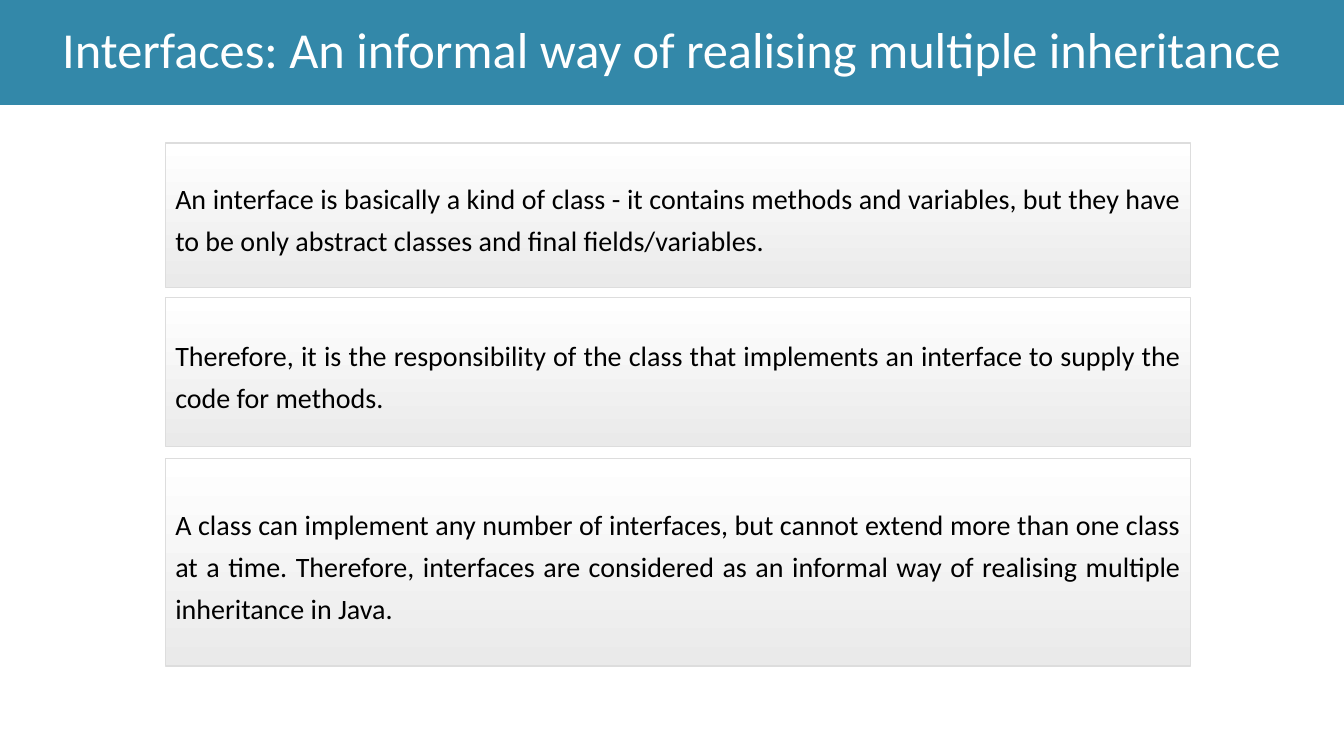
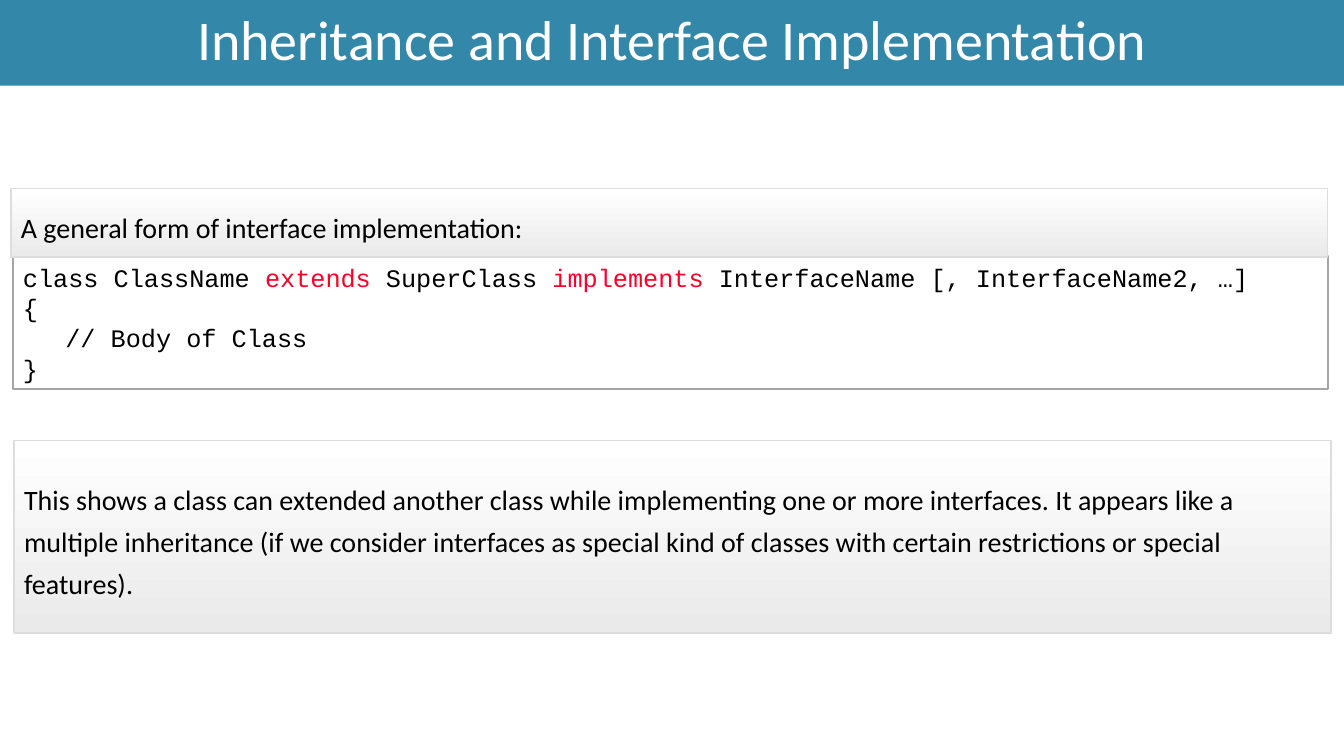
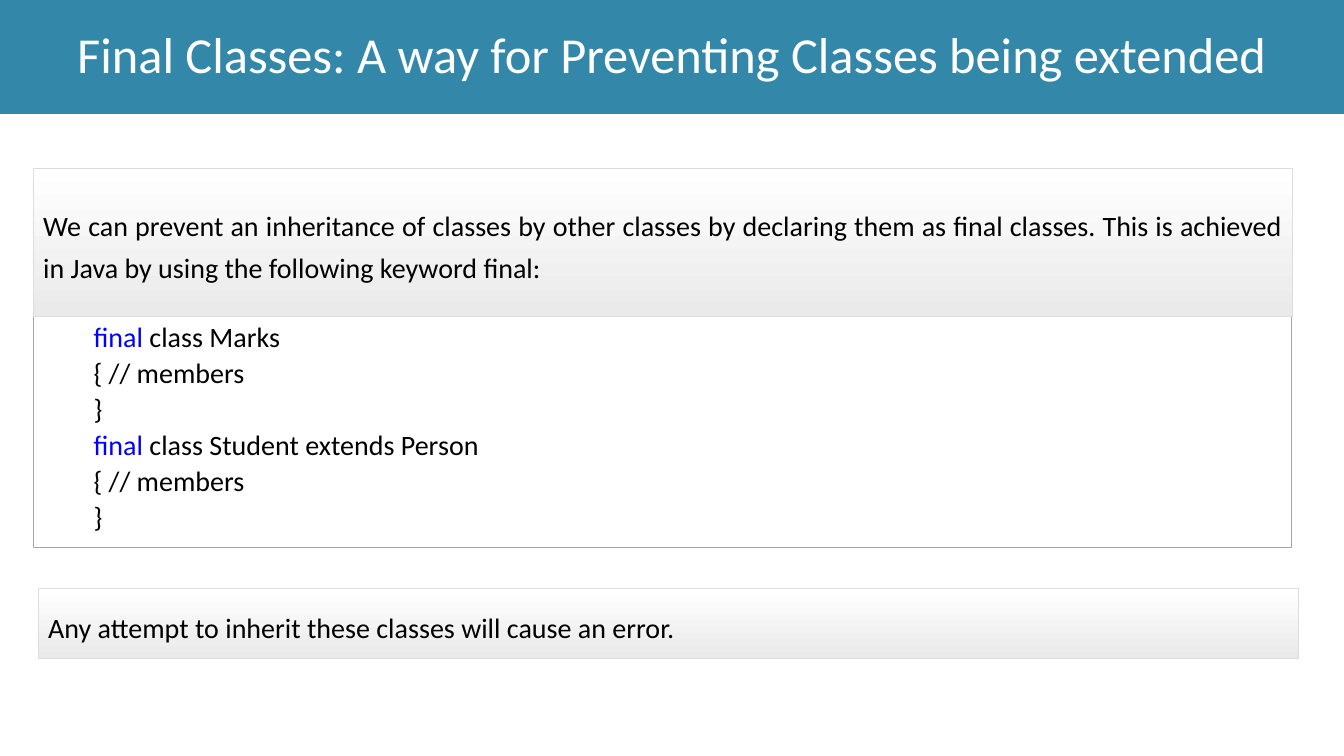
from dataclasses import dataclass
from typing import NamedTuple

from pptx import Presentation
from pptx.dml.color import RGBColor
from pptx.enum.shapes import MSO_SHAPE
from pptx.enum.text import MSO_ANCHOR, PP_ALIGN
from pptx.shapes.autoshape import Shape
from pptx.slide import Slide
from pptx.util import Inches, Pt


@dataclass(frozen=True)
class Theme:
    band: str = "3388A9"
    white: str = "FFFFFF"
    black: str = "000000"
    shade: str = "EAEAEA"
    edge: str = "DDDDDD"
    frame: str = "A6A6A6"
    red: str = "FC0128"
    blue: str = "0000FF"
    sans: str = "Calibri"
    mono: str = "Courier New"
    body: int = 20
    small: int = 18
    head: int = 36
    large: int = 40


THEME = Theme()
WIDTH = 13.33


class Area(NamedTuple):
    left: float
    top: float
    width: float
    height: float


class Piece(NamedTuple):
    text: str
    color: str = THEME.black


class Line(NamedTuple):
    pieces: tuple[Piece, ...]
    indent: float = 0


@dataclass(frozen=True)
class Card:
    area: Area
    text: str
    align: PP_ALIGN = PP_ALIGN.JUSTIFY


@dataclass(frozen=True)
class Code:
    area: Area
    lines: list[Line]
    font: str
    size: int
    weight: float
    space: float = 1.0
    before: float = 0
    pad: float = 0.1


@dataclass(frozen=True)
class Page:
    title: str
    height: float
    cards: list[Card]
    code: Code | None = None
    size: int = THEME.head


def color(code: str) -> RGBColor:
    return RGBColor.from_string(code)


def add_box(slide: Slide, area: Area) -> Shape:
    box = slide.shapes.add_shape(MSO_SHAPE.RECTANGLE, *map(Inches, area))
    box.shadow.inherit = False
    return box


def outline(box: Shape, tint: str, weight: float) -> None:
    box.line.color.rgb = color(tint)
    box.line.width = Pt(weight)


def write(box: Shape, lines: list[Line], *, size: int, font: str = THEME.sans,
          align: PP_ALIGN = PP_ALIGN.LEFT, space: float | Pt = 1.0,
          before: float = 0, pad: float = 0.1) -> None:
    frame = box.text_frame
    frame.word_wrap = True
    frame.vertical_anchor = MSO_ANCHOR.MIDDLE
    frame.margin_left = frame.margin_right = Inches(0.1)
    frame.margin_top = frame.margin_bottom = Inches(pad)
    for index, line in enumerate(lines):
        para = frame.add_paragraph() if index else frame.paragraphs[0]
        para.alignment = align
        para.line_spacing = space
        if index and before:
            para.space_before = Pt(before)
        if line.indent:
            para._p.get_or_add_pPr().set("marL", str(Inches(line.indent)))
        for piece in line.pieces:
            run = para.add_run()
            run.text = piece.text
            run.font.name = font
            run.font.size = Pt(size)
            run.font.color.rgb = color(piece.color)


def draw_title(slide: Slide, page: Page) -> None:
    box = add_box(slide, Area(0, 0, WIDTH, page.height))
    box.fill.solid()
    box.fill.fore_color.rgb = color(THEME.band)
    box.line.fill.background()
    write(box, [Line((Piece(page.title, THEME.white),))], size=page.size,
          align=PP_ALIGN.CENTER, space=0.9, pad=0.05)


def draw_card(slide: Slide, card: Card) -> None:
    box = add_box(slide, card.area)
    box.fill.gradient()
    box.fill.gradient_angle = 270
    for stop, tint in zip(box.fill.gradient_stops, (THEME.white, THEME.shade)):
        stop.color.rgb = color(tint)
    outline(box, THEME.edge, 1)
    write(box, [Line((Piece(card.text),))], size=THEME.body,
          align=card.align, space=Pt(30))


def draw_code(slide: Slide, code: Code) -> None:
    box = add_box(slide, code.area)
    box.fill.background()
    outline(box, THEME.frame, code.weight)
    write(box, code.lines, size=code.size, font=code.font,
          space=code.space, before=code.before, pad=code.pad)


def final_class(name: str) -> list[Line]:
    rows = (
        (Piece("final", THEME.blue), Piece(f" class {name}")),
        (Piece("{ // members"),),
        (Piece("}"),),
    )
    return [Line(row, 0.5) for row in rows]


PAGES = [
    Page(
        "Interfaces: An informal way of realising multiple inheritance", 1.04,
        [
            Card(Area(1.64, 1.42, 10.17, 1.43),
                 "An interface is basically a kind of class - it contains methods "
                 "and variables, but they have to be only abstract classes and "
                 "final fields/variables."),
            Card(Area(1.64, 2.95, 10.17, 1.48),
                 "Therefore, it is the responsibility of the class that implements "
                 "an interface to supply the code for methods."),
            Card(Area(1.64, 4.55, 10.17, 2.06),
                 "A class can implement any number of interfaces, but cannot extend "
                 "more than one class at a time. Therefore, interfaces are "
                 "considered as an informal way of realising multiple inheritance "
                 "in Java."),
        ],
    ),
    Page(
        "Inheritance and Interface Implementation", 0.85,
        [
            Card(Area(0.11, 1.87, 13.06, 0.68),
                 "A general form of interface implementation:"),
            Card(Area(0.14, 4.37, 13.06, 1.91),
                 "This shows a class can extended another class while implementing "
                 "one or more interfaces. It appears like a multiple inheritance "
                 "(if we consider interfaces as special kind of classes with "
                 "certain restrictions or special features).", PP_ALIGN.LEFT),
        ],
        Code(
            Area(0.13, 2.54, 13.04, 1.32),
            [
                Line((Piece("class ClassName "), Piece("extends ", THEME.red),
                      Piece("SuperClass"), Piece(" implements ", THEME.red),
                      Piece("InterfaceName [, InterfaceName2, …]"))),
                Line((Piece("{"),)),
                Line((Piece("// Body of Class"),), 0.42),
                Line((Piece("}"),)),
            ],
            THEME.mono, THEME.small, 1.5, pad=0.05,
        ),
        THEME.large,
    ),
    Page(
        "Final Classes: A way for Preventing Classes being extended", 1.13,
        [
            Card(Area(0.33, 1.67, 12.49, 1.47),
                 "We can prevent an inheritance of classes by other classes by "
                 "declaring them as final classes. This is achieved in Java by "
                 "using the following keyword final:"),
            Card(Area(0.38, 5.84, 12.5, 0.69),
                 "Any attempt to inherit these classes will cause an error."),
        ],
        Code(
            Area(0.33, 3.07, 12.48, 2.36),
            final_class("Marks") + final_class("Student extends Person"),
            THEME.sans, THEME.body, 0.75, space=0.9, before=4,
        ),
    ),
]


def main() -> None:
    deck = Presentation()
    deck.slide_width = Inches(WIDTH)
    deck.slide_height = Inches(7.5)
    for page in PAGES:
        slide = deck.slides.add_slide(deck.slide_layouts[6])
        draw_title(slide, page)
        if page.code:
            draw_code(slide, page.code)
        for card in page.cards:
            draw_card(slide, card)
    deck.save("out.pptx")


if __name__ == "__main__":
    main()
